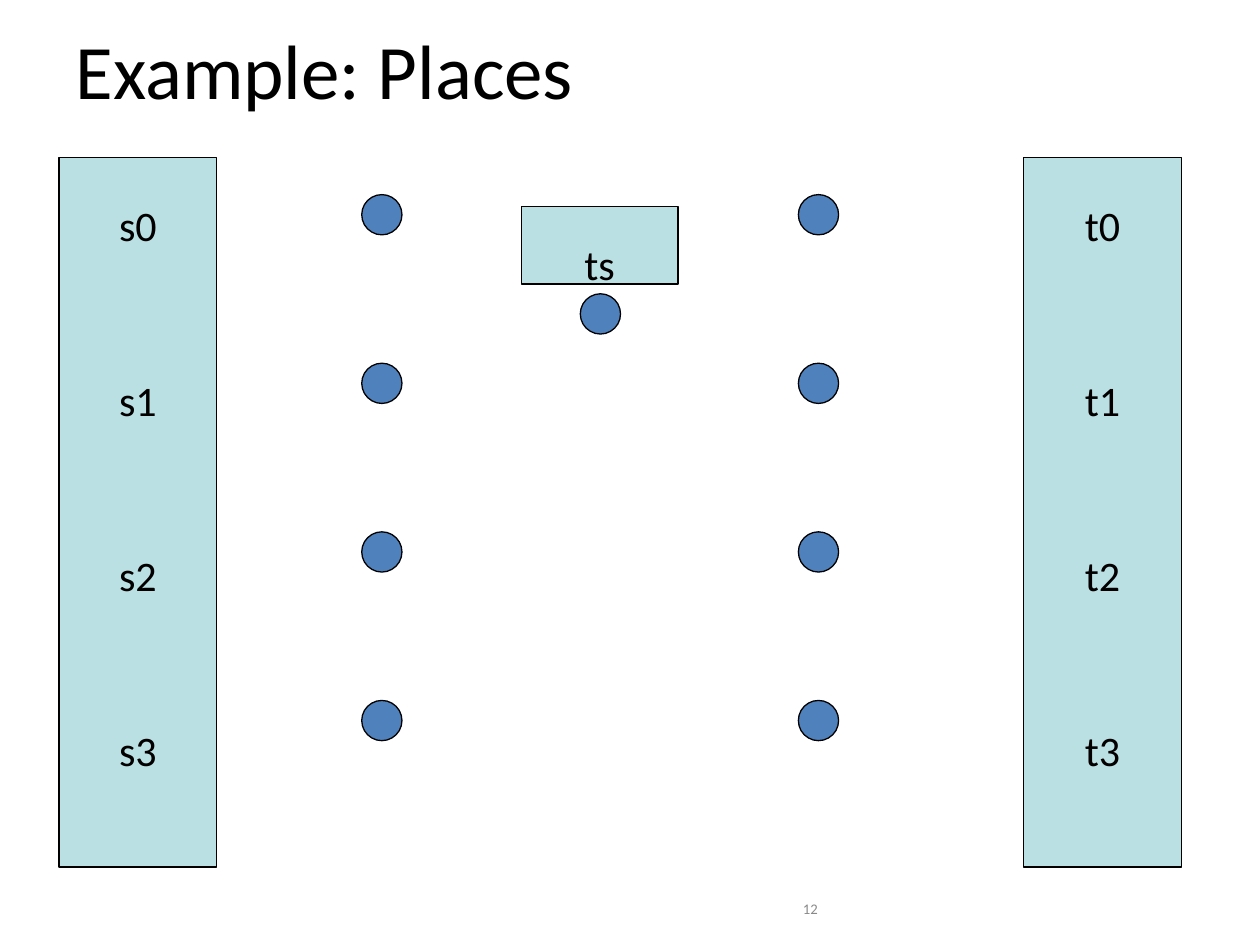
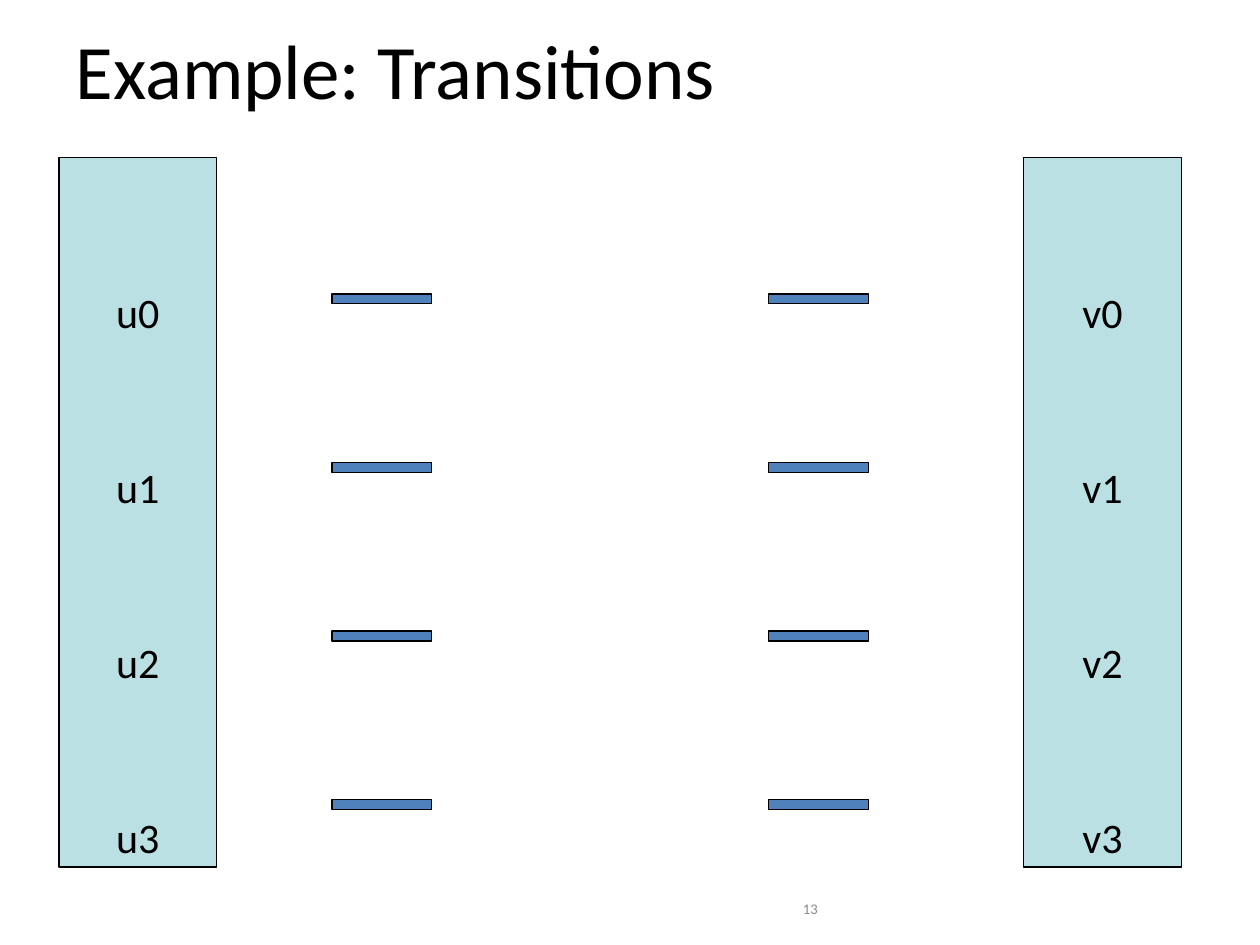
"""Build two Petri net example slides: the places and the transitions."""
from pptx import Presentation
from pptx.dml.color import RGBColor
from pptx.enum.shapes import MSO_SHAPE
from pptx.enum.text import MSO_ANCHOR, MSO_AUTO_SIZE, PP_ALIGN
from pptx.util import Pt

RECT, OVAL = MSO_SHAPE.RECTANGLE, MSO_SHAPE.OVAL
MIDDLE = MSO_ANCHOR.MIDDLE
NO_AUTOFIT = MSO_AUTO_SIZE.NONE
LEFT, CENTER, RIGHT = PP_ALIGN.LEFT, PP_ALIGN.CENTER, PP_ALIGN.RIGHT

COLORS = {"node": "4F81BD", "panel": "BBE0E3", "ink": "000000", "number": "898989"}
FONT = "Calibri"
ROWS = 4
ROW_STEP = 96.35
LABEL_LINE = 50
PANEL_TOP, PANEL_WIDTH, PANEL_HEIGHT = 90, 90, 405.4
PANEL_LEFTS = (33.8, 585)
NODE_CENTERS = (218.2, 467.7)

EXAMPLES = [
    {"title": "Example: Places", "number": "12", "prefixes": "st",
     "node": OVAL, "size": (23, 23), "first_row": 122.7, "gaps": (0, LABEL_LINE)},
    {"title": "Example: Transitions", "number": "13", "prefixes": "uv",
     "node": RECT, "size": (57, 5.7), "first_row": 170.8, "gaps": (LABEL_LINE, 0)},
]


def add_outlined(slide, kind, left, top, width, height, color):
    shape = slide.shapes.add_shape(kind, Pt(left), Pt(top), Pt(width), Pt(height))
    shape.shadow.inherit = False
    shape.fill.solid()
    shape.fill.fore_color.rgb = RGBColor.from_string(COLORS[color])
    shape.line.color.rgb = RGBColor.from_string(COLORS["ink"])
    shape.line.width = Pt(0.75)
    return shape


def write_lines(frame, lines, size, color, align, line_spacing=None):
    frame.vertical_anchor = MIDDLE
    for index, line in enumerate(lines):
        paragraph = frame.add_paragraph() if index else frame.paragraphs[0]
        paragraph.alignment = align
        if line_spacing:
            paragraph.line_spacing = Pt(line_spacing)
            paragraph.space_before = Pt(line_spacing if index else 0)
        run = paragraph.add_run()
        run.text = line
        run.font.name = FONT
        run.font.size = Pt(size)
        run.font.color.rgb = RGBColor.from_string(COLORS[color])


deck = Presentation()
deck.slide_width, deck.slide_height = Pt(720), Pt(540)

for example in EXAMPLES:
    slide = deck.slides.add_slide(deck.slide_layouts[5])

    title = slide.shapes.title
    title.left, title.top, title.width, title.height = Pt(36), Pt(6.5), Pt(648), Pt(65)
    title.text_frame.auto_size = NO_AUTOFIT
    write_lines(title.text_frame, [example["title"]], 44, "ink", LEFT)

    number = slide.shapes.add_textbox(Pt(246.2), Pt(500.4), Pt(228.2), Pt(28.8))
    number.text_frame.word_wrap = True
    number.text_frame.margin_top = Pt(12)
    write_lines(number.text_frame, [example["number"]], 8.4, "number", RIGHT)

    width, height = example["size"]
    for center in NODE_CENTERS:
        for row in range(ROWS):
            middle = example["first_row"] + row * ROW_STEP
            add_outlined(slide, example["node"], center - width / 2,
                         middle - height / 2, width, height, "node")

    panels = [(left, PANEL_TOP, PANEL_WIDTH, PANEL_HEIGHT, example["gaps"],
               [f"{prefix}{row}" for row in range(ROWS)])
              for left, prefix in zip(PANEL_LEFTS, example["prefixes"])]
    if example["node"] == OVAL:
        add_outlined(slide, OVAL, 331.6, 167.9, width, height, "node")
        panels.append((298, 118.1, 89.4, 44.2, (0, 0), ["ts"]))

    for left, top, panel_width, panel_height, gaps, labels in panels:
        panel = add_outlined(slide, RECT, left, top, panel_width, panel_height, "panel")
        frame = panel.text_frame
        frame.word_wrap = False
        frame.margin_top, frame.margin_bottom = (Pt(gap) for gap in gaps)
        write_lines(frame, labels, 24, "ink", CENTER, LABEL_LINE)

deck.save("out.pptx")
